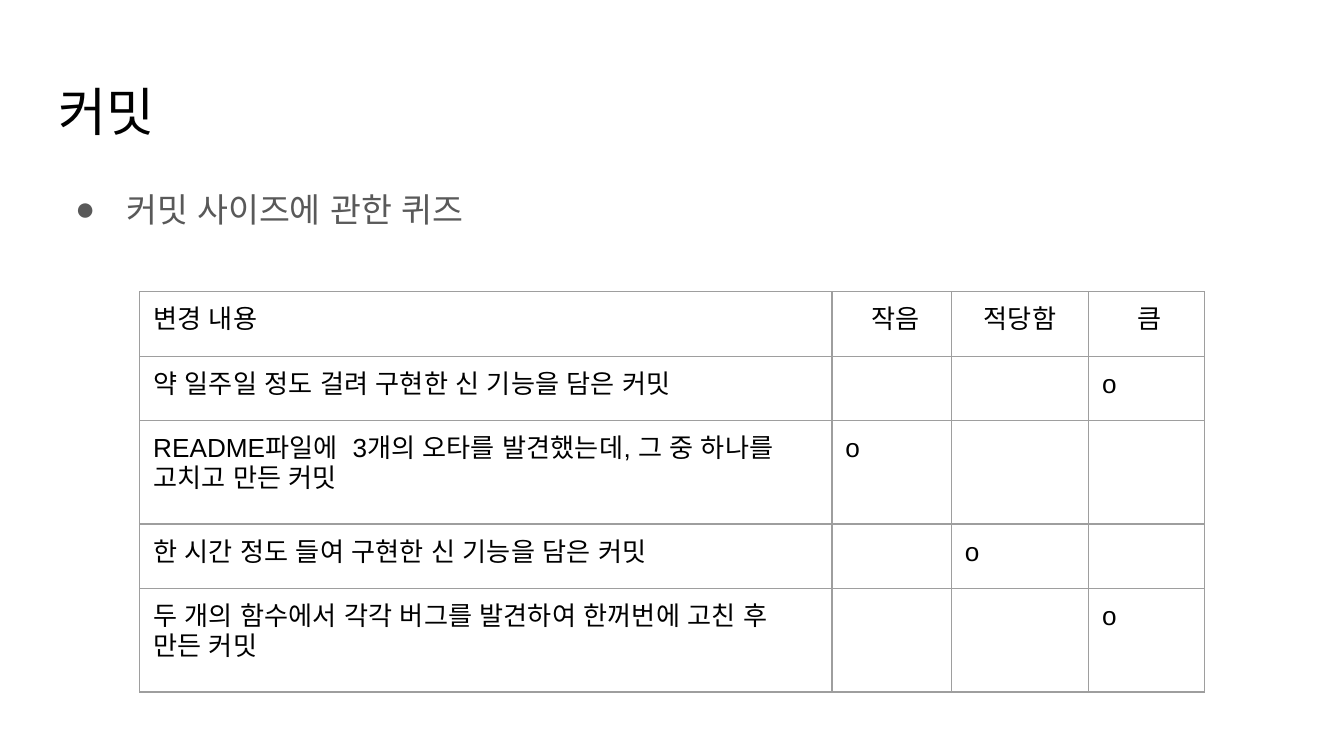
"""Builds a slide with a quiz about commit sizes."""
from dataclasses import dataclass

from lxml import etree
from pptx import Presentation
from pptx.dml.color import RGBColor
from pptx.enum.text import PP_ALIGN
from pptx.oxml.ns import qn
from pptx.util import Inches, Pt

LEFT, CENTER = PP_ALIGN.LEFT, PP_ALIGN.CENTER


@dataclass(frozen=True)
class Theme:
    font: str = "Arial"
    ink: str = "000000"
    muted: str = "595959"
    border: str = "9E9E9E"
    border_width: float = 0.75
    title_size: int = 28
    body_size: int = 18
    cell_size: int = 14
    inset: float = 0.1


class QuizSlide:
    def __init__(self, presentation, theme):
        self.theme = theme
        self.slide = presentation.slides.add_slide(presentation.slide_layouts[6])

    def style(self, paragraph, size, color, align=LEFT):
        paragraph.alignment = align
        paragraph.font.name = self.theme.font
        paragraph.font.size = Pt(size)
        paragraph.font.color.rgb = RGBColor.from_string(color)
        latin = paragraph._p.pPr.find(qn("a:defRPr")).find(qn("a:latin"))
        for script in ("cs", "ea"):
            latin.addnext(etree.Element(qn(f"a:{script}"), typeface=self.theme.font))

    def pad(self, area):
        area.margin_left = area.margin_right = Inches(self.theme.inset)
        area.margin_top = area.margin_bottom = Inches(self.theme.inset)

    def text(self, wording, left, top, width, height, size, color):
        box = self.slide.shapes.add_textbox(
            Inches(left), Inches(top), Inches(width), Inches(height))
        frame = box.text_frame
        frame.word_wrap = True
        self.pad(frame)
        paragraph = frame.paragraphs[0]
        paragraph.text = wording
        self.style(paragraph, size, color)
        return paragraph

    def bullet(self, wording, left, top, width, height, size, color):
        paragraph = self.text(wording, left, top, width, height, size, color)
        paragraph.line_spacing = 1.15
        properties = paragraph._p.get_or_add_pPr()
        properties.set("marL", str(Inches(0.5)))
        properties.set("indent", str(Inches(-0.38)))
        defaults = properties.find(qn("a:defRPr"))
        bullet_color = etree.Element(qn("a:buClr"))
        etree.SubElement(bullet_color, qn("a:srgbClr"), val=color)
        defaults.addprevious(bullet_color)
        defaults.addprevious(etree.Element(qn("a:buFont"), typeface=self.theme.font))
        defaults.addprevious(etree.Element(qn("a:buChar"), char="●"))

    def outline(self, cell):
        properties = cell._tc.get_or_add_tcPr()
        for side in ("lnL", "lnR", "lnT", "lnB"):
            line = etree.SubElement(
                properties, qn(f"a:{side}"), w=str(Pt(self.theme.border_width)))
            fill = etree.SubElement(line, qn("a:solidFill"))
            etree.SubElement(fill, qn("a:srgbClr"), val=self.theme.border)

    def table(self, rows, left, top, column_widths, row_heights):
        table = self.slide.shapes.add_table(
            len(rows), len(column_widths), Inches(left), Inches(top),
            Inches(sum(column_widths)), Inches(sum(row_heights))).table
        table.first_row = table.horz_banding = False
        for column, width in zip(table.columns, column_widths):
            column.width = Inches(width)
        for row_index, row in enumerate(rows):
            table.rows[row_index].height = Inches(row_heights[row_index])
            for column_index, wording in enumerate(row):
                cell = table.cell(row_index, column_index)
                self.pad(cell)
                self.outline(cell)
                cell.fill.background()
                paragraph = cell.text_frame.paragraphs[0]
                paragraph.text = wording
                is_size_heading = row_index == 0 and column_index > 0
                self.style(paragraph, self.theme.cell_size, self.theme.ink,
                           CENTER if is_size_heading else LEFT)


def main():
    presentation = Presentation()
    presentation.slide_width = Inches(10)
    presentation.slide_height = Inches(10) * 9 // 16
    theme = Theme()
    quiz = QuizSlide(presentation, theme)

    quiz.text("커밋", 0.34, 0.49, 9.32, 0.63, theme.title_size, theme.ink)
    quiz.bullet("커밋 사이즈에 관한 퀴즈", 0.34, 1.26, 9.32, 3.74,
                theme.body_size, theme.muted)

    sizes = [" 작음", "적당함", " 큼"]
    answers = [
        ("약 일주일 정도 걸려 구현한 신 기능을 담은 커밋", 2),
        ("README파일에  3개의 오타를 발견했는데, 그 중 하나를 고치고 만든 커밋", 0),
        ("한 시간 정도 들여 구현한 신 기능을 담은 커밋", 1),
        ("두 개의 함수에서 각각 버그를 발견하여 한꺼번에 고친 후 만든 커밋", 2),
    ]
    rows = [["변경 내용", *sizes]]
    for change, answer in answers:
        marks = ["o" if index == answer else "" for index in range(len(sizes))]
        rows.append([change, *marks])
    one_line, two_lines = 0.48, 0.77
    quiz.table(rows, 1.04, 2.17, [5.15, 0.89, 1.02, 0.86],
               [one_line, one_line, two_lines, one_line, two_lines])

    presentation.save("out.pptx")


if __name__ == "__main__":
    main()
